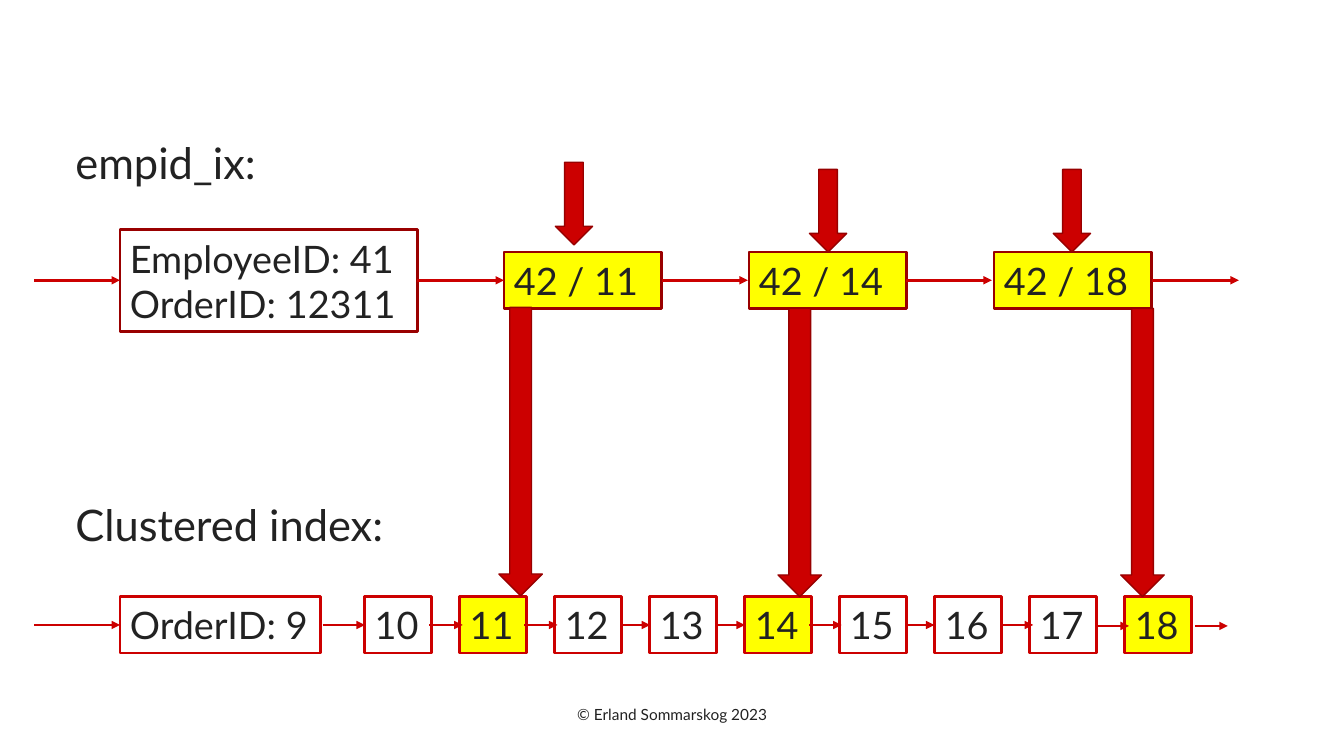
from dataclasses import dataclass

from pptx import Presentation
from pptx.dml.color import RGBColor
from pptx.enum.shapes import MSO_CONNECTOR as Connector, MSO_SHAPE as Preset
from pptx.enum.text import MSO_ANCHOR as Anchor, PP_ALIGN as Align
from pptx.oxml.ns import qn
from pptx.util import Pt
from lxml.etree import SubElement


@dataclass(frozen=True)
class Theme:
    font: str = "Lato"
    ink: str = "222222"
    red: str = "CC0000"
    dark_red: str = "990000"
    arrow_edge: str = "970000"
    yellow: str = "FFFF00"
    heading: int = 31
    node: int = 27
    footer: int = 11
    stroke: int = 2


THEME = Theme()

# Both index levels share the left edge and the node height
LEFT, NODE_HEIGHT = 85.7, 40.3
EMPLOYEE_TOP, EMPLOYEE_LINE = 180, 200.2
CLUSTER_TOP, CLUSTER_LINE = 426.2, 446.4
CLUSTER_LEFT, CLUSTER_STEP, CLUSTER_WIDTH = 260.6, 67.86, 47.6

EMPLOYEE_NODES = [("42 / 11", 360), ("42 / 14", 535), ("42 / 18", 710)]
EMPLOYEE_LINKS = [(24.5, 85.7), (298.1, 360), (473, 534.2), (647.3, 708.5), (823, 884.9)]
CLUSTER_KEYS = range(10, 19)
MATCHING_KEYS = {11, 14, 18}
CLUSTER_LINKS = [
    (24.5, 85.7), (230.4, 260.6), (306.7, 330.5), (374.4, 398.2),
    (444.2, 464.4), (511.9, 532.1), (578.2, 601.2), (646.6, 667.4),
    (715, 738), (783.4, 806.4), (853.9, 877),
]
LAST_LEVEL_LINKS = 2
# Left and top of each block arrow
SEEK_ARROWS = [(396.7, 115.9), (578.2, 121), (752.4, 121)]
LOOKUP_ARROWS = [(356.4, 219.6), (555.8, 220.3), (800.6, 220.3)]


def color(value):
    return RGBColor.from_string(value)


def write(shape, text, size=THEME.node, align=Align.LEFT, anchor=Anchor.MIDDLE):
    frame = shape.text_frame
    frame.word_wrap = True
    frame.vertical_anchor = anchor
    for number, line in enumerate(text.split("\n")):
        para = frame.add_paragraph() if number else frame.paragraphs[0]
        para.alignment = align
        span = para.add_run()
        span.text = line
        span.font.name = THEME.font
        span.font.size = Pt(size)
        span.font.color.rgb = color(THEME.ink)


def add_label(page, text, left, top, width, height, **text_format):
    box = page.shapes.add_textbox(Pt(left), Pt(top), Pt(width), Pt(height))
    write(box, text, anchor=Anchor.TOP, **text_format)


def add_block(page, preset, left, top, width, height, edge, weight, fill=None):
    shape = page.shapes.add_shape(preset, Pt(left), Pt(top), Pt(width), Pt(height))
    shape.shadow.inherit = False
    if fill:
        shape.fill.solid()
        shape.fill.fore_color.rgb = color(fill)
    else:
        shape.fill.background()
    shape.line.color.rgb = color(edge)
    shape.line.width = Pt(weight)
    return shape


def add_node(page, text, left, top, width, edge, height=NODE_HEIGHT, fill=None):
    node = add_block(page, Preset.RECTANGLE, left, top, width, height,
                     edge, THEME.stroke, fill)
    write(node, text)


def add_down_arrow(page, left, top, width, height):
    add_block(page, Preset.DOWN_ARROW, left, top, width, height,
              THEME.arrow_edge, 1, THEME.red)


def add_link(page, start, end, level):
    link = page.shapes.add_connector(Connector.STRAIGHT, Pt(start), Pt(level),
                                     Pt(end), Pt(level))
    link.line.color.rgb = color(THEME.red)
    link.line.width = Pt(THEME.stroke)
    properties = link._element.spPr
    SubElement(properties.find(qn("a:ln")), qn("a:tailEnd"), type="triangle")
    SubElement(properties, qn("a:effectLst"))


def add_employee_index(page):
    add_label(page, "empid_ix:", 46.8, 93.6, 162.7, 44.6, size=THEME.heading)
    add_node(page, "EmployeeID: 41\nOrderID: 12311", LEFT, 164.2, 212.4,
             THEME.dark_red, height=72.7)
    for text, left in EMPLOYEE_NODES:
        add_node(page, text, left, EMPLOYEE_TOP, 112.3, THEME.dark_red, fill=THEME.yellow)
    for start, end in EMPLOYEE_LINKS:
        add_link(page, start, end, EMPLOYEE_LINE)


def add_clustered_index(page):
    add_label(page, "Clustered index:", 46.8, 352.1, 258.5, 44.6, size=THEME.heading)
    add_node(page, "OrderID: 9", LEFT, CLUSTER_TOP, 143.3, THEME.red)
    for column, key in enumerate(CLUSTER_KEYS):
        fill = THEME.yellow if key in MATCHING_KEYS else None
        add_node(page, str(key), CLUSTER_LEFT + column * CLUSTER_STEP, CLUSTER_TOP,
                 CLUSTER_WIDTH, THEME.red, fill=fill)
    for start, end in CLUSTER_LINKS[:-LAST_LEVEL_LINKS]:
        add_link(page, start, end, CLUSTER_LINE)
    # The last links sit slightly lower
    for start, end in CLUSTER_LINKS[-LAST_LEVEL_LINKS:]:
        add_link(page, start, end, CLUSTER_LINE + 0.7)


def main():
    deck = Presentation()
    deck.slide_width, deck.slide_height = Pt(960), Pt(540)
    page = deck.slides.add_slide(deck.slide_layouts[6])

    # The two index levels
    add_employee_index(page)
    add_clustered_index(page)

    # Seeks into the first index and lookups into the second
    for left, top in SEEK_ARROWS:
        add_down_arrow(page, left, top, 26.6, 59)
    for left, top in LOOKUP_ARROWS:
        add_down_arrow(page, left, top, 31, 205.9)

    # Footer
    add_label(page, "©\u00a0Erland Sommarskog 2023".replace("\u00a0", " "),
              318.2, 500.4, 324, 28.8, size=THEME.footer, align=Align.CENTER)
    deck.save("out.pptx")


if __name__ == "__main__":
    main()
